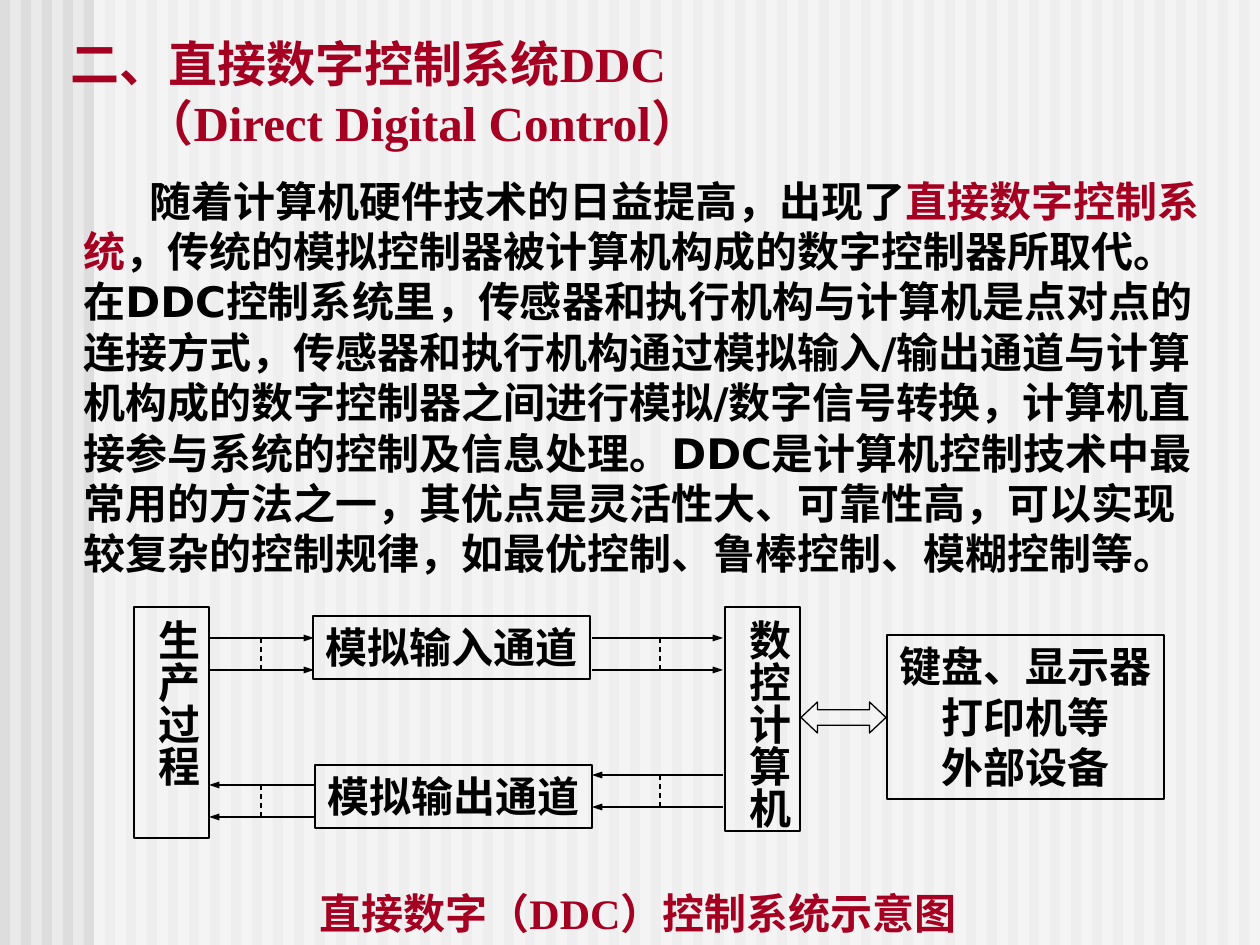
"""Build the slide that explains direct digital control (DDC)."""
from dataclasses import dataclass
from typing import NamedTuple

from lxml.etree import SubElement
from pptx import Presentation
from pptx.dml.color import RGBColor
from pptx.enum.dml import MSO_LINE
from pptx.enum.lang import MSO_LANGUAGE_ID
from pptx.enum.shapes import MSO_CONNECTOR, MSO_SHAPE
from pptx.enum.text import MSO_ANCHOR, MSO_AUTO_SIZE, PP_ALIGN
from pptx.oxml.ns import qn
from pptx.util import Emu, Pt


@dataclass(frozen=True)
class Theme:
    page: RGBColor = RGBColor(0xEA, 0xEA, 0xEA)
    stripe: RGBColor = RGBColor(0xDD, 0xDD, 0xDD)
    veil: RGBColor = RGBColor(0xFF, 0xFF, 0xFF)
    ink: RGBColor = RGBColor(0, 0, 0)
    accent: RGBColor = RGBColor(0xA5, 0x00, 0x21)
    serif: str = "Times New Roman"
    sans: str = "DejaVu Sans"
    title: Pt = Pt(28)
    body: Pt = Pt(24)
    line: Pt = Pt(0.75)


class Rect(NamedTuple):
    x: int
    y: int
    w: int
    h: int


class Block(NamedTuple):
    rect: Rect
    lines: tuple[str, ...]
    vertical: bool = False


class Channel(NamedTuple):
    start: int
    end: int
    y: int
    dash_x: int


class Span(NamedTuple):
    text: str
    color: RGBColor
    font: str


THEME = Theme()
EMU_PER_INCH = 914400
PX_PER_INCH = 126
SLIDE_W, SLIDE_H = 1260, 945
STRIPE_PITCH, STRIPE_W = 21, 10
CHANNEL_GAP = 32

BLOCKS = (
    Block(Rect(134, 607, 75, 231), ("生产过程",), True),
    Block(Rect(313, 616, 277, 63), ("模拟输入通道",)),
    Block(Rect(315, 765, 277, 63), ("模拟输出通道",)),
    Block(Rect(725, 607, 75, 224), ("数控计算机",), True),
    Block(Rect(887, 635, 277, 164), ("键盘、显示器", "打印机等", "外部设备")),
)
CHANNELS = (
    Channel(209, 314, 638, 261),
    Channel(592, 723, 638, 660),
    Channel(723, 592, 775, 660),
    Channel(314, 209, 785, 261),
)
BODY = (
    Span("随着计算机硬件技术的日益提高，出现了", THEME.ink, THEME.serif),
    Span("直接数字控制系统", THEME.accent, THEME.serif),
    Span("，传统的模拟控制器被计算机构成的数字控制器所取代。在", THEME.ink, THEME.serif),
    Span("DDC", THEME.ink, THEME.sans),
    Span("控制系统里，传感器和执行机构与计算机是点对点的连接方式，"
         "传感器和执行机构通过模拟输入", THEME.ink, THEME.serif),
    Span("/", THEME.ink, THEME.sans),
    Span("输出通道与计算机构成的数字控制器之间进行模拟", THEME.ink, THEME.serif),
    Span("/", THEME.ink, THEME.sans),
    Span("数字信号转换，计算机直接参与系统的控制及信息处理。", THEME.ink, THEME.serif),
    Span("DDC", THEME.ink, THEME.sans),
    Span("是计算机控制技术中最常用的方法之一，其优点是灵活性大、可靠性高，"
         "可以实现较复杂的控制规律，如最优控制、鲁棒控制、模糊控制等。",
         THEME.ink, THEME.serif),
)


def px(n: int) -> Emu:
    return Emu(round(n * EMU_PER_INCH / PX_PER_INCH))


def place(rect: Rect) -> tuple[Emu, ...]:
    return tuple(px(n) for n in rect)


def add_run(p, text: str, color: RGBColor = THEME.ink,
            font: str = THEME.serif, size: Pt = THEME.body) -> None:
    r = p.add_run()
    r.text = text
    r.font.name, r.font.size, r.font.bold = font, size, True
    r.font.color.rgb = color
    r.font.language_id = MSO_LANGUAGE_ID.SIMPLIFIED_CHINESE


def indent(p, margin: int, first: int) -> None:
    pPr = p._p.get_or_add_pPr()
    pPr.set("marL", str(px(margin)))
    pPr.set("indent", str(px(first)))


def add_panel(s, rect: Rect, color: RGBColor):
    sp = s.shapes.add_shape(MSO_SHAPE.RECTANGLE, *place(rect))
    sp.shadow.inherit = False
    sp.fill.solid()
    sp.fill.fore_color.rgb = color
    sp.line.fill.background()
    return sp


def add_backdrop(s) -> None:
    s.background.fill.solid()
    s.background.fill.fore_color.rgb = THEME.page
    for x in range(0, SLIDE_W, STRIPE_PITCH):
        add_panel(s, Rect(x, 0, STRIPE_W, SLIDE_H), THEME.stripe)
    veil = add_panel(s, Rect(94, 0, SLIDE_W - 94, SLIDE_H), THEME.veil)
    color = veil.fill._xPr.find(qn("a:solidFill"))[0]
    SubElement(color, qn("a:alpha"), val="50000")


def add_title(s) -> None:
    sp = s.shapes.title
    s.shapes.element.append(sp.element)
    sp.left, sp.top, sp.width, sp.height = place(Rect(58, 28, 824, 130))
    tf = sp.text_frame
    tf.auto_size, tf.word_wrap = MSO_AUTO_SIZE.NONE, True
    tf.vertical_anchor = MSO_ANCHOR.BOTTOM
    p = tf.paragraphs[0]
    p.alignment = PP_ALIGN.LEFT
    indent(p, 74, -74)
    add_run(p, "二、直接数字控制系统DDC", THEME.accent, size=THEME.title)
    p.add_line_break()
    add_run(p, "（Direct Digital Control）", THEME.accent, size=THEME.title)


def add_body(s) -> None:
    tf = s.shapes.add_textbox(*place(Rect(23, 169, 1203, 577))).text_frame
    tf.word_wrap = True
    p = tf.paragraphs[0]
    indent(p, 48, 66)
    for span in BODY:
        add_run(p, *span)


def add_outline(s, kind: MSO_SHAPE, rect: Rect):
    sp = s.shapes.add_shape(kind, *place(rect))
    sp.shadow.inherit = False
    sp.fill.background()
    sp.line.color.rgb, sp.line.width = THEME.ink, THEME.line
    return sp


def add_block(s, block: Block) -> None:
    tf = add_outline(s, MSO_SHAPE.RECTANGLE, block.rect).text_frame
    tf.word_wrap, tf.vertical_anchor = False, MSO_ANCHOR.TOP
    side, end = (px(6), px(13)) if block.vertical else (px(13), px(6))
    tf.margin_left = tf.margin_right = side
    tf.margin_top = tf.margin_bottom = end
    if block.vertical:
        tf._txBody.bodyPr.set("vert", "eaVert")
    for i, line in enumerate(block.lines):
        p = tf.add_paragraph() if i else tf.paragraphs[0]
        p.alignment = PP_ALIGN.CENTER
        add_run(p, line)


def add_line(s, x1: int, y1: int, x2: int, y2: int, arrow: bool) -> None:
    c = s.shapes.add_connector(MSO_CONNECTOR.STRAIGHT, *map(px, (x1, y1, x2, y2)))
    c.line.color.rgb, c.line.width = THEME.ink, THEME.line
    if arrow:
        SubElement(c.line._get_or_add_ln(), qn("a:tailEnd"), type="triangle", w="sm", len="med")
    else:
        c.line.dash_style = MSO_LINE.DASH
    SubElement(c._element.spPr, qn("a:effectLst"))


def add_channel(s, ch: Channel) -> None:
    low = ch.y + CHANNEL_GAP
    for y in (ch.y, low):
        add_line(s, ch.start, y, ch.end, y, True)
    add_line(s, ch.dash_x, ch.y, ch.dash_x, low, False)


def add_caption(s) -> None:
    tf = s.shapes.add_textbox(*place(Rect(297, 881, 682, 63))).text_frame
    tf.word_wrap = False
    p = tf.paragraphs[0]
    p.alignment = PP_ALIGN.CENTER
    add_run(p, "直接数字（DDC）控制系统示意图", THEME.accent)


def main() -> None:
    prs = Presentation()
    prs.slide_width, prs.slide_height = px(SLIDE_W), px(SLIDE_H)
    s = prs.slides.add_slide(prs.slide_layouts[5])
    add_backdrop(s)
    add_title(s)
    add_body(s)
    for block in BLOCKS:
        add_block(s, block)
    link = add_outline(s, MSO_SHAPE.LEFT_RIGHT_ARROW, Rect(801, 702, 85, 31))
    link.adjustments[1] = 0.53
    for ch in CHANNELS:
        add_channel(s, ch)
    add_caption(s)
    prs.save("out.pptx")


if __name__ == "__main__":
    main()
